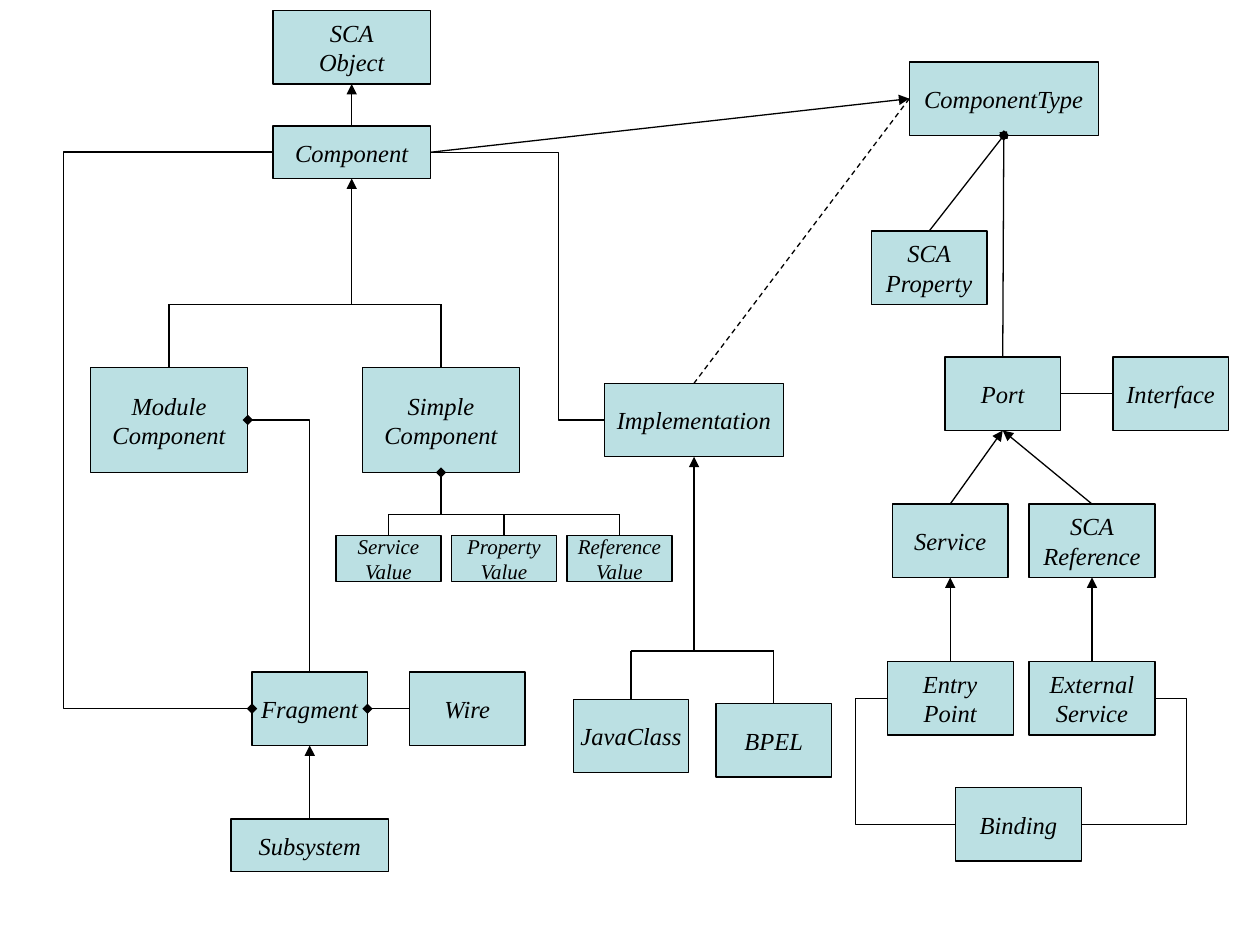
from itertools import pairwise

from lxml import etree
from pptx import Presentation
from pptx.dml.color import RGBColor
from pptx.enum.dml import MSO_LINE
from pptx.enum.shapes import MSO_CONNECTOR as CONNECTOR, MSO_SHAPE
from pptx.enum.text import MSO_ANCHOR, PP_ALIGN
from pptx.oxml.ns import qn
from pptx.util import Emu, Pt

PX = 7620  # 120 px to the inch
COLORS = {"box": "BBE0E3", "ink": "000000"}
FONT = "Times New Roman"
TOP, LEFT, BOTTOM, RIGHT = range(4)  # connection sites of a rectangle


def px(value):
    return Emu(round(value * PX))


def color(name):
    return RGBColor.from_string(COLORS[name])


def write_text(shape, text, size=14):
    frame = shape.text_frame
    frame.word_wrap = False
    frame.vertical_anchor = MSO_ANCHOR.MIDDLE
    frame.text = text
    for paragraph in frame.paragraphs:
        paragraph.alignment = PP_ALIGN.CENTER
        font = paragraph.font
        font.name, font.size, font.italic = FONT, Pt(size), True
        font.color.rgb = color("ink")


def add_box(slide, text, left, top, width=110, height=70, size=14):
    shape = slide.shapes.add_shape(
        MSO_SHAPE.RECTANGLE, px(left), px(top), px(width), px(height))
    shape.shadow.inherit = False
    shape.fill.solid()
    shape.fill.fore_color.rgb = color("box")
    shape.line.color.rgb = color("ink")
    shape.line.width = Pt(0.75)
    write_text(shape, text, size)
    return shape


def site_point(shape, site):
    """Return the place of a connection site in EMU."""
    x = {LEFT: 0, RIGHT: shape.width}.get(site, shape.width // 2)
    y = {TOP: 0, BOTTOM: shape.height}.get(site, shape.height // 2)
    return shape.left + x, shape.top + y


def add_line(slide, begin, end, kind=CONNECTOR.STRAIGHT, head=None, tail=None, dash=False):
    line = slide.shapes.add_connector(kind, *map(Emu, (*begin, *end)))
    line.line.color.rgb = color("ink")
    line.line.width = Pt(0.75)
    if dash:
        line.line.dash_style = MSO_LINE.DASH
    outline = line.line._get_or_add_ln()
    for tag, arrow in (("a:headEnd", head), ("a:tailEnd", tail)):
        if arrow:
            etree.SubElement(outline, qn(tag), type=arrow)
    etree.SubElement(line._element.spPr, qn("a:effectLst"))
    return line


def link(slide, start, start_site, stop, stop_site, **style):
    """Join two boxes and keep the ends attached to them."""
    line = add_line(slide, site_point(start, start_site), site_point(stop, stop_site), **style)
    line.begin_connect(start, start_site)
    line.end_connect(stop, stop_site)
    return line


def link_bent(slide, start, start_site, stop, stop_site, via=None, **style):
    """Join two boxes at right angles, with the upright part at x = via px."""
    line = link(slide, start, start_site, stop, stop_site, kind=CONNECTOR.ELBOW, **style)
    geometry = line._element.spPr.find(qn("a:prstGeom"))
    if via is None:
        geometry.set("prst", "bentConnector2")
        return
    share = (px(via) - line.begin_x) / (line.end_x - line.begin_x)
    etree.SubElement(geometry.find(qn("a:avLst")), qn("a:gd"),
                     name="adj1", fmla=f"val {round(share * 100000)}")


def add_branch(slide, parent, children, bar_top, arrow):
    """Draw a trunk from the parent to a bar with a drop to each child."""
    bar = px(bar_top)
    trunk, foot = site_point(parent, BOTTOM)
    add_line(slide, (trunk, foot), (trunk, bar), head=arrow)
    drops = [site_point(child, TOP) for child in children]
    for left, right in pairwise(sorted({trunk, *(x for x, _ in drops)})):
        add_line(slide, (left, bar), (right, bar))
    for x, y in drops:
        add_line(slide, (x, bar), (x, y))


def component_tree(slide, left, top):
    """SCA object, component and its two kinds."""
    root = add_box(slide, "SCA\nObject", left + 174, top, 150)
    component = add_box(slide, "Component", left + 174, top + 110, 150, 50)
    module, simple = [
        add_box(slide, f"{kind}\nComponent", left + x, top + 340, 150, 100)
        for kind, x in (("Module", 0), ("Simple", 259))]
    values = [
        add_box(slide, f"{kind}\nValue", left + 234 + 110 * index, top + 500, 100, 44, 12)
        for index, kind in enumerate(("Service", "Property", "Reference"))]
    link(slide, component, TOP, root, BOTTOM, tail="triangle")
    add_branch(slide, component, (module, simple), top + 280, "triangle")
    add_branch(slide, simple, values, top + 480, "diamond")
    return component, module


def implementation_tree(slide, left, top):
    """Implementation and its languages."""
    implementation = add_box(slide, "Implementation", left + 30, top, 170)
    languages = [add_box(slide, "JavaClass", left, top + 301),
                 add_box(slide, "BPEL", left + 136, top + 305)]
    add_branch(slide, implementation, languages, top + 255, "triangle")
    return implementation


def type_tree(slide, left, top):
    """Component type with its property, ports and binding."""
    component_type = add_box(slide, "ComponentType", left + 36, top, 180)
    sca_property = add_box(slide, "SCA\nProperty", left, top + 161)
    port = add_box(slide, "Port", left + 70, top + 281)
    interface = add_box(slide, "Interface", left + 230, top + 281)
    service = add_box(slide, "Service", left + 20, top + 421)
    reference = add_box(slide, "SCA\nReference", left + 150, top + 421, 120)
    entry = add_box(slide, "Entry\nPoint", left + 15, top + 571, 120)
    external = add_box(slide, "External\nService", left + 150, top + 571, 120)
    binding = add_box(slide, "Binding", left + 80, top + 691, 120)

    for part in (sca_property, port):
        link(slide, component_type, BOTTOM, part, TOP, head="diamond")
    for parent, child in ((port, service), (port, reference),
                          (service, entry), (reference, external)):
        link(slide, parent, BOTTOM, child, TOP, head="triangle")
    link(slide, port, RIGHT, interface, LEFT)
    link_bent(slide, external, RIGHT, binding, RIGHT, via=left + 300)
    link_bent(slide, entry, LEFT, binding, LEFT, via=left - 15)
    return component_type


def fragment_group(slide, left, top):
    """Fragment with its wire and subsystem."""
    fragment = add_box(slide, "Fragment", left + 20, top)
    wire = add_box(slide, "Wire", left + 170, top)
    subsystem = add_box(slide, "Subsystem", left, top + 140, 150, 50)
    link(slide, fragment, RIGHT, wire, LEFT, head="diamond")
    link(slide, subsystem, TOP, fragment, BOTTOM, tail="triangle")
    return fragment


def main():
    presentation = Presentation()
    presentation.slide_width, presentation.slide_height = px(1200), px(900)
    slide = presentation.slides.add_slide(presentation.slide_layouts[6])

    component, module = component_tree(slide, 86, 10)
    implementation = implementation_tree(slide, 546, 365)
    component_type = type_tree(slide, 830, 59)
    fragment = fragment_group(slide, 220, 640)

    # Links between the regions
    link(slide, component, RIGHT, component_type, LEFT, tail="triangle")
    link(slide, component_type, LEFT, implementation, TOP, dash=True)
    link_bent(slide, fragment, LEFT, component, LEFT, via=60, head="diamond")
    link_bent(slide, module, RIGHT, fragment, TOP, head="diamond")
    link_bent(slide, component, RIGHT, implementation, LEFT, via=532)

    presentation.save("out.pptx")


if __name__ == "__main__":
    main()
